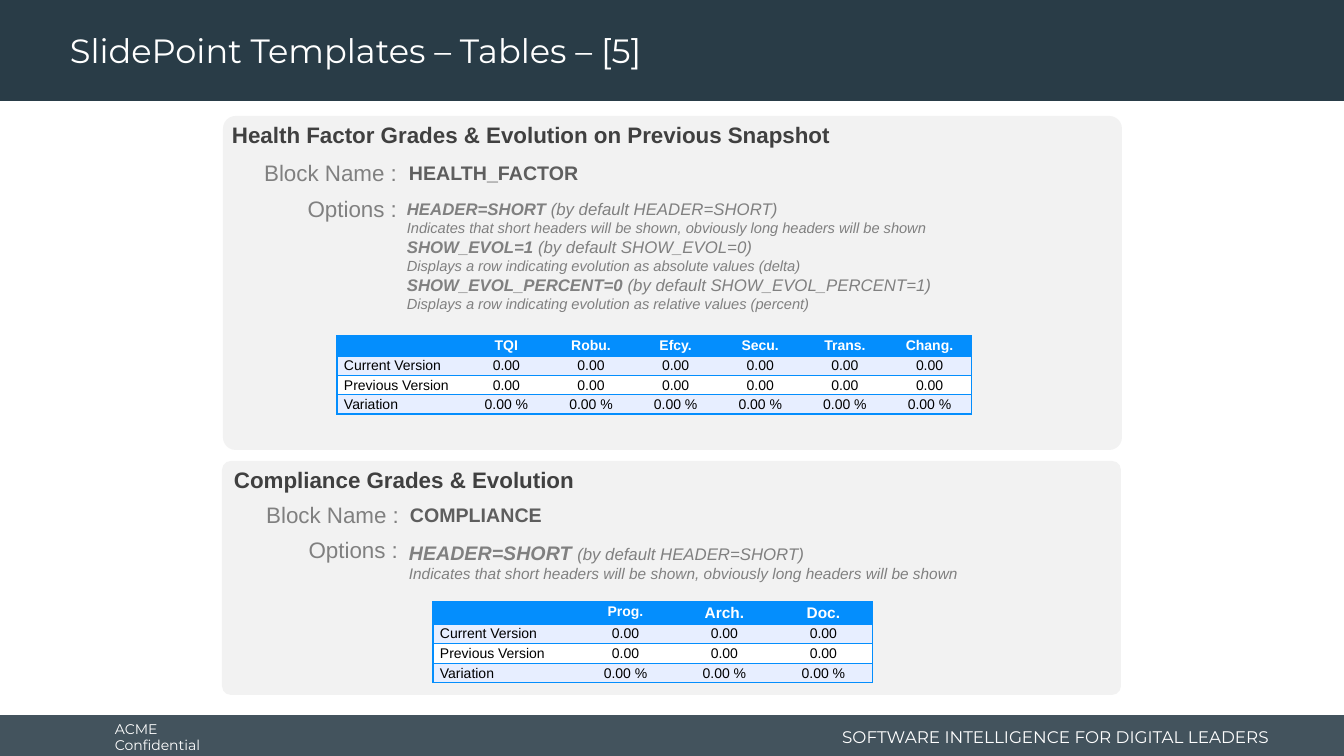
import pptx
import pptx.util
import pptx.dml.color
import pptx.enum.shapes
import pptx.enum.text
import pptx.oxml.ns
import lxml.etree

rgb = pptx.dml.color.RGBColor.from_string
qn = pptx.oxml.ns.qn
SHAPE = pptx.enum.shapes.MSO_SHAPE
ALIGN = pptx.enum.text.PP_ALIGN
MIDDLE = pptx.enum.text.MSO_ANCHOR.MIDDLE
GROW = pptx.enum.text.MSO_AUTO_SIZE.SHAPE_TO_FIT_TEXT
NAVY, PANEL, BLUE, PALE, WHITE = "293C47", "F2F2F2", "048EFD", "E7EEFF", "FFFFFF"
DARK, MID, GREY, BLACK = "404040", "5E5E5E", "808080", "000000"


def px(*lengths):
    """Turn pixels into a list of EMU; the slide is 1344 px wide."""
    return [round(n * 12192000 / 1344) for n in lengths]


def write(tf, lines, colour, font="Arial", align=None, spacing=None, frame=None):
    """Fill a text frame; each line is a list of (text, size, bold, italic) runs."""
    for name, value in (frame or {}).items():
        setattr(tf, name, value)
    for i, line in enumerate(lines):
        p = tf.add_paragraph() if i else tf.paragraphs[0]
        p.alignment = align
        p.line_spacing = spacing
        for text, size, bold, italic in line:
            r = p.add_run()
            r.text = text
            look = {"name": font, "size": pptx.util.Pt(size), "bold": bold, "italic": italic}
            for name, value in look.items():
                setattr(r.font, name, value)
            r.font.color.rgb = rgb(colour)


prs = pptx.Presentation()
prs.slide_width, prs.slide_height = px(1344, 756)
s = prs.slides.add_slide(prs.slide_layouts[6])

# Bands and rounded panels
backdrop = [
    (SHAPE.RECTANGLE, (0, 715, 1344, 41), NAVY),
    (SHAPE.RECTANGLE, (0, 0, 1344, 101), NAVY),
    (SHAPE.ROUNDED_RECTANGLE, (223, 116, 899, 334), PANEL),
    (SHAPE.ROUNDED_RECTANGLE, (222, 461, 899, 234), PANEL),
]
for kind, box, colour in backdrop:
    sp = s.shapes.add_shape(kind, *px(*box))
    sp.shadow.inherit = False
    sp.fill.solid()
    sp.fill.fore_color.rgb = rgb(colour)
    sp.line.fill.background()
    if kind == SHAPE.ROUNDED_RECTANGLE:
        sp.adjustments[0] = 0.038
footer_fill = s.shapes[0].fill.fore_color._xFill.find(qn("a:srgbClr"))
lxml.etree.SubElement(footer_fill, qn("a:alpha")).set("val", "88000")

# Title and footer texts
captions = [
    ((60, 4, 966, 97), "SlidePoint Templates – Tables – [5]", 24, None, True),
    ((105, 717, 149, 40), "ACME Confidential", 10, None, False),
    ((817, 721, 462, 32), "SOFTWARE INTELLIGENCE FOR DIGITAL LEADERS", 12, ALIGN.RIGHT, True),
]
for box, text, size, align, wrap in captions:
    tf = s.shapes.add_textbox(*px(*box)).text_frame
    write(tf, [[(text, size, False, False)]], WHITE, "Montserrat", align,
          0.9 if size == 24 else None, {"word_wrap": wrap, "vertical_anchor": MIDDLE})

# Texts of the two blocks
SHORT_HELP = "Indicates that short headers will be shown, obviously long headers will be shown"
health_options = []
for option, default, explanation in [
    ("HEADER=SHORT ", "(by default HEADER=SHORT)", SHORT_HELP),
    ("SHOW_EVOL=1 ", "(by default SHOW_EVOL=0)",
     "Displays a row indicating evolution as absolute values (delta)"),
    ("SHOW_EVOL_PERCENT=0 ", "(by default SHOW_EVOL_PERCENT=1)",
     "Displays a row indicating evolution as relative values (percent)"),
]:
    health_options += [[(option, 12, True, True), (default, 12, False, True)],
                       [(explanation, 10.5, False, True)]]
compliance_options = [
    [("HEADER=SHORT ", 14, True, True), ("(by default HEADER=SHORT)", 12, False, True)],
    [(SHORT_HELP, 11, False, True)],
]
wrapped = {"word_wrap": True, "auto_size": GROW}
unwrapped = {"word_wrap": False, "auto_size": GROW}
wide_inset = dict(wrapped, margin_left=px(20)[0], margin_right=px(20)[0])
block_label = [[("Block Name :", 16, False, False)]]
options_label = [[("Options :", 16, False, False)]]
texts = [
    ((212, 116, 898, 37), [[("Health Factor Grades & Evolution on Previous Snapshot", 16, True, False)]],
     DARK, None, wide_inset),
    ((399, 156, 731, 34), [[("HEALTH_FACTOR", 14, True, False)]], MID, None, wrapped),
    ((239, 154, 168, 37), block_label, GREY, ALIGN.RIGHT, unwrapped),
    ((285, 190, 122, 37), options_label, GREY, ALIGN.RIGHT, unwrapped),
    ((397, 194, 751, 126), health_options, GREY, None, wrapped),
    ((214, 461, 898, 37), [[("Compliance Grades & Evolution", 16, True, False)]],
     DARK, None, wide_inset),
    ((400, 498, 731, 34), [[("COMPLIANCE", 14, True, False)]], MID, None, wrapped),
    ((241, 496, 168, 37), block_label, GREY, ALIGN.RIGHT, unwrapped),
    ((286, 531, 122, 37), options_label, GREY, ALIGN.RIGHT, unwrapped),
    ((399, 536, 731, 54), compliance_options, GREY, None, wrapped),
]
for box, lines, colour, align, frame in texts:
    tf = s.shapes.add_textbox(*px(*box)).text_frame
    write(tf, lines, colour, align=align, frame=frame)

# Grade tables: position, first column, row heights, headers with sizes
tables = [
    ((337, 336, 635, 75), 127, (20, 18, 19, 18),
     [("TQI", 10), ("Robu.", 10), ("Efcy.", 10), ("Secu.", 10), ("Trans.", 10), ("Chang.", 10)]),
    ((433, 602, 440, 80), 143, (22, 19, 20, 19),
     [("Prog.", 10), ("Arch.", 11), ("Doc.", 11)]),
]
grades = [("Current Version", "0.00"), ("Previous Version", "0.00"), ("Variation", "0.00 %")]
row_fills = [BLUE, PALE, WHITE, PALE]
for box, label_width, heights, headers in tables:
    n = len(headers)
    rows = [[("", 10)] + headers] + [[(label, 10)] + [(value, 10)] * n for label, value in grades]
    table = s.shapes.add_table(len(rows), n + 1, *px(*box)).table
    table.first_row = table.horz_banding = False
    widths = [label_width] + [(box[2] - label_width) / n] * n
    for column, width in zip(table.columns, px(*widths)):
        column.width = width
    for row, height in zip(table.rows, px(*heights)):
        row.height = height
    for i, row in enumerate(rows):
        for j, (text, size) in enumerate(row):
            cell = table.cell(i, j)
            cell.margin_left, cell.margin_right, cell.margin_top, cell.margin_bottom = px(7, 7, 0, 0)
            tcPr = cell._tc.get_or_add_tcPr()
            for side, drawn in (("L", j == 0), ("R", j == n), ("T", True), ("B", True)):
                ln = lxml.etree.SubElement(tcPr, qn("a:ln" + side), w="12700")
                if drawn:
                    fill = lxml.etree.SubElement(ln, qn("a:solidFill"))
                    lxml.etree.SubElement(fill, qn("a:srgbClr"), val=BLUE)
                else:
                    lxml.etree.SubElement(ln, qn("a:noFill"))
            cell.fill.solid()
            cell.fill.fore_color.rgb = rgb(row_fills[i])
            if text:
                write(cell.text_frame, [[(text, size, i == 0, False)]], BLACK if i else WHITE,
                      align=ALIGN.CENTER if j else None, spacing=1.15)
            else:
                lxml.etree.SubElement(cell.text_frame.paragraphs[0]._p, qn("a:endParaRPr"), sz="1000")

prs.save("out.pptx")
